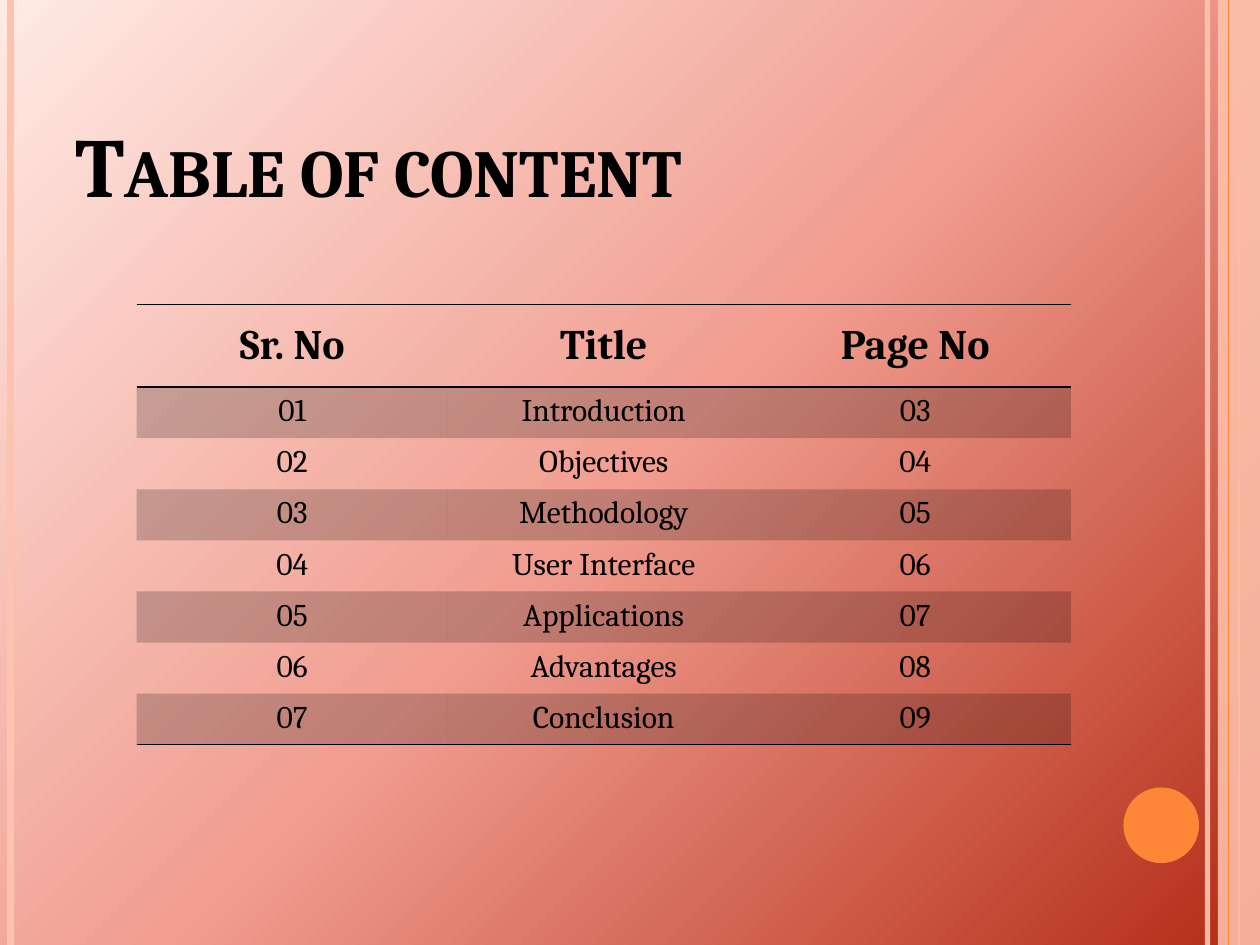
from lxml.etree import SubElement as Sub
from pptx import Presentation
from pptx.dml.color import RGBColor as RGB
from pptx.enum.shapes import MSO_CONNECTOR as LINK, MSO_SHAPE as SHAPE
from pptx.enum.text import MSO_ANCHOR as ANCHOR, PP_ALIGN as ALIGN
from pptx.oxml import parse_xml
from pptx.oxml.ns import nsdecls, qn
from pptx.util import Pt

COLORS = {
    "ink": "000000", "peach": "FEC3AE", "orange": "FE8637",
    "brick": "B32C16", "coral": "F19E91", "blush": "FFEAE4",
}
NO_GRID = "{2D5ABB26-0587-4C30-8999-92F81FD0307C}"
WIDTH, HEIGHT = 720, 540


class SlideBuilder:
    font_name = "Cambria"

    def __init__(self, slide):
        self.slide = slide
        self.shapes = slide.shapes

    def color(self, name):
        return RGB.from_string(COLORS[name])

    def fade(self, element, percent):
        for color in element.iter(qn("a:srgbClr")):
            Sub(color, qn("a:alpha"), val=str(percent * 1000))

    def background(self, stops):
        marks = "".join(
            f'<a:gs pos="{at * 1000}"><a:srgbClr val="{COLORS[name]}"/></a:gs>'
            for at, name in stops)
        backdrop = parse_xml(
            f'<p:bg {nsdecls("p", "a")}><p:bgPr><a:gradFill rotWithShape="1">'
            f'<a:gsLst>{marks}</a:gsLst><a:path path="circle">'
            '<a:fillToRect l="100000" t="100000"/></a:path></a:gradFill>'
            '<a:effectLst/></p:bgPr></p:bg>')
        self.slide.element.cSld.insert(0, backdrop)

    def stripe(self, x, weight, name, opacity=100):
        line = self.shapes.add_connector(LINK.STRAIGHT, Pt(x), 0, Pt(x), Pt(HEIGHT))
        line.line.width = Pt(weight)
        line.line.color.rgb = self.color(name)
        properties = line._element.spPr
        if opacity < 100:
            self.fade(properties, opacity)
        Sub(properties, qn("a:effectLst"))

    def block(self, kind, box, name, opacity=100):
        block = self.shapes.add_shape(kind, *map(Pt, box))
        block.shadow.inherit = False
        block.fill.solid()
        block.fill.fore_color.rgb = self.color(name)
        block.line.fill.background()
        if opacity < 100:
            self.fade(block._element.spPr, opacity)

    def label(self, frame, text, align, size, bold):
        paragraph = frame.paragraphs[0]
        paragraph.alignment = align
        run = paragraph.add_run()
        run.text = text
        formats = {"name": self.font_name, "size": Pt(size), "bold": bold}
        for key, value in formats.items():
            setattr(run.font, key, value)
        run.font.color.rgb = self.color("ink")
        return run

    def title(self, text, box):
        title = self.shapes.title
        for key, value in zip(("left", "top", "width", "height"), box):
            setattr(title, key, Pt(value))
        title.text_frame.vertical_anchor = ANCHOR.BOTTOM
        run = self.label(title.text_frame, text, ALIGN.LEFT, 48, True)
        run.font._element.set("cap", "small")

    def rule(self, cell, side):
        border = Sub(cell._tc.get_or_add_tcPr(), qn(f"a:{side}"), w=str(Pt(1)))
        paint = Sub(border, qn("a:solidFill"))
        Sub(paint, qn("a:srgbClr"), val=COLORS["ink"])

    def table(self, rows, box, head_height, row_height):
        last = len(rows) - 1
        frame = self.shapes.add_table(len(rows), len(rows[0]), *map(Pt, box))
        table = frame.table
        table._tbl.tblPr.find(qn("a:tableStyleId")).text = NO_GRID
        for index, row in enumerate(rows):
            head = index == 0
            table.rows[index].height = Pt(head_height if head else row_height)
            for cell, text in zip(table.rows[index].cells, row):
                if head:
                    cell.vertical_anchor = ANCHOR.MIDDLE
                    self.rule(cell, "lnT")
                if index in (0, last):
                    self.rule(cell, "lnB")
                if index % 2:
                    cell.fill.solid()
                    cell.fill.fore_color.rgb = self.color("ink")
                    self.fade(cell._tc.tcPr.find(qn("a:solidFill")), 20)
                else:
                    cell.fill.background()
                self.label(cell.text_frame, text, ALIGN.CENTER, 24 if head else 18, head)


def main():
    deck = Presentation()
    deck.slide_width, deck.slide_height = Pt(WIDTH), Pt(HEIGHT)
    page = SlideBuilder(deck.slides.add_slide(deck.slide_layouts[5]))

    page.background([(0, "brick"), (50, "coral"), (100, "blush")])
    page.stripe(690, 3, "peach", 93)
    page.stripe(6, 4.5, "peach")
    page.stripe(708, 1.5, "orange")
    page.block(SHAPE.RECTANGLE, (696, 0, 24, HEIGHT), "peach", 87)
    page.stripe(702, 0.75, "orange")
    page.block(SHAPE.OVAL, (642, 450, 43.2, 43.2), "orange")

    page.title("Table of content", (36, 36, 588, 90))
    topics = ["Introduction", "Objectives", "Methodology", "User Interface",
              "Applications", "Advantages", "Conclusion"]
    entries = [(f"{number:02}", topic, f"{number + 2:02}")
               for number, topic in enumerate(topics, 1)]
    page.table([("Sr. No", "Title", "Page No"), *entries],
               (78, 174, 534, 251.5), 47.2, 29.2)
    deck.save("out.pptx")


if __name__ == "__main__":
    main()
